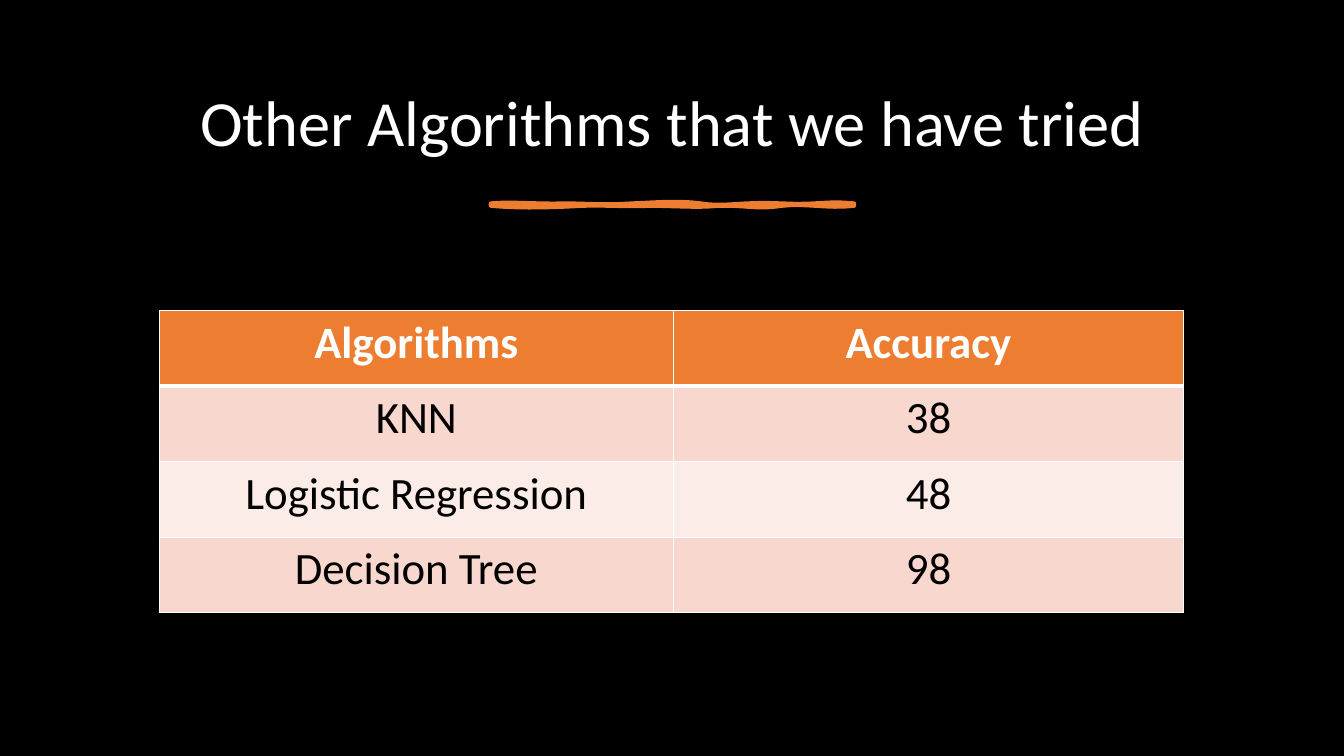
import dataclasses

import pptx
import pptx.dml.color
import pptx.enum.text
import pptx.oxml
import pptx.oxml.ns
import pptx.util
from pptx.util import Inches

RGB = pptx.dml.color.RGBColor.from_string
CENTER = pptx.enum.text.PP_ALIGN.CENTER


@dataclasses.dataclass(frozen=True)
class Theme:
    font: str = "Calibri"
    background: str = "000000"
    accent: str = "ED7D31"
    light: str = "FFFFFF"
    dark: str = "000000"
    bands: tuple = ("F8D7CE", "FCECE8")
    title_size: int = 46
    table_size: int = 32
    stroke_width: float = 3.25
    border: int = 1
    header_border: int = 3


THEME = Theme()

ROWS = [
    ("Algorithms", "Accuracy"),
    ("KNN", "38"),
    ("Logistic Regression", "48"),
    ("Decision Tree", "98"),
]

# Hand-drawn underline: start point, then Bezier curves (two controls, end)
STROKE_START = (4.87, 2.02)
STROKE_CURVES = [
    ((5.06, 2.0), (5.35, 2.03), (5.59, 2.02)),
    ((5.82, 2.02), (6.0, 2.04), (6.27, 2.02)),
    ((6.54, 2.01), (6.72, 1.99), (6.95, 2.02)),
    ((7.19, 2.06), (7.35, 2.0), (7.75, 2.02)),
    ((8.14, 2.04), (8.17, 1.99), (8.47, 2.02)),
    ((8.47, 2.03), (8.47, 2.03), (8.47, 2.04)),
    ((8.2, 2.07), (7.98, 2.01), (7.75, 2.04)),
    ((7.51, 2.08), (7.39, 2.03), (7.13, 2.04)),
    ((6.88, 2.06), (6.73, 2.04), (6.45, 2.04)),
    ((6.17, 2.05), (5.96, 2.03), (5.77, 2.04)),
    ((5.57, 2.05), (5.2, 2.07), (4.87, 2.04)),
    ((4.87, 2.04), (4.87, 2.03), (4.87, 2.02)),
]


def style_paragraph(p, size, color, bold=False):
    p.alignment = CENTER
    p.font.name = THEME.font
    p.font.size = pptx.util.Pt(size)
    p.font.bold = bold
    p.font.color.rgb = RGB(color)


def add_title(slide, text):
    sp = slide.shapes.title
    sp.left, sp.top = Inches(0.7), Inches(0.5)
    sp.width, sp.height = Inches(11.93), Inches(1.5)
    tf = sp.text_frame
    tf.text = text
    tf.word_wrap = True
    tf.auto_size = pptx.enum.text.MSO_AUTO_SIZE.NONE
    tf.vertical_anchor = pptx.enum.text.MSO_ANCHOR.MIDDLE
    p = tf.paragraphs[0]
    p.line_spacing = 0.9
    p.space_after = pptx.util.Pt(6)
    style_paragraph(p, THEME.title_size, THEME.light)


def curve_points(start, curves, steps=8):
    """Return points along a chain of cubic Bezier curves, in EMU."""
    points = []
    for c1, c2, end in curves:
        for i in range(1, steps + 1):
            t = i / steps
            u = 1 - t
            points.append(tuple(
                Inches(u**3 * a + 3 * u * u * t * b + 3 * u * t * t * c + t**3 * d)
                for a, b, c, d in zip(start, c1, c2, end)))
        start = end
    return points


def add_brush_stroke(slide):
    x, y = STROKE_START
    builder = slide.shapes.build_freeform(Inches(x), Inches(y))
    builder.add_line_segments(curve_points(STROKE_START, STROKE_CURVES), close=True)
    sp = builder.convert_to_shape()
    sp.shadow.inherit = False
    sp.fill.solid()
    sp.fill.fore_color.rgb = RGB(THEME.accent)
    sp.line.color.rgb = RGB(THEME.accent)
    sp.line.width = pptx.util.Pt(THEME.stroke_width)


def set_borders(cell, top, bottom):
    tc_pr = cell._tc.get_or_add_tcPr()
    widths = {"L": THEME.border, "R": THEME.border, "T": top, "B": bottom}
    for side, width in widths.items():
        tc_pr.append(pptx.oxml.parse_xml(
            f'<a:ln{side} {pptx.oxml.ns.nsdecls("a")} w="{pptx.util.Pt(width)}">'
            f'<a:solidFill><a:srgbClr val="{THEME.light}"/></a:solidFill>'
            f'</a:ln{side}>'))


def add_accuracy_table(slide, rows):
    table = slide.shapes.add_table(
        len(rows), len(rows[0]),
        Inches(1.58), Inches(3.08), Inches(10.16), Inches(3)).table
    for column, width in zip(table.columns, (5.1, 5.06)):
        column.width = Inches(width)
    for i, values in enumerate(rows):
        header = i == 0
        fill = THEME.accent if header else THEME.bands[(i - 1) % 2]
        color = THEME.light if header else THEME.dark
        top = THEME.header_border if i == 1 else THEME.border
        bottom = THEME.header_border if header else THEME.border
        table.rows[i].height = Inches(0.75)
        for j, value in enumerate(values):
            cell = table.cell(i, j)
            cell.text = value
            style_paragraph(cell.text_frame.paragraphs[0],
                            THEME.table_size, color, bold=header)
            set_borders(cell, top, bottom)
            cell.fill.solid()
            cell.fill.fore_color.rgb = RGB(fill)


def main():
    prs = pptx.Presentation()
    prs.slide_width, prs.slide_height = Inches(13.33), Inches(7.5)

    # Title Only layout on a black background
    slide = prs.slides.add_slide(prs.slide_layouts[5])
    slide.background.fill.solid()
    slide.background.fill.fore_color.rgb = RGB(THEME.background)

    # Heading with its underline
    add_title(slide, "Other Algorithms that we have tried")
    add_brush_stroke(slide)

    # Results
    add_accuracy_table(slide, ROWS)
    prs.save("out.pptx")


if __name__ == "__main__":
    main()
